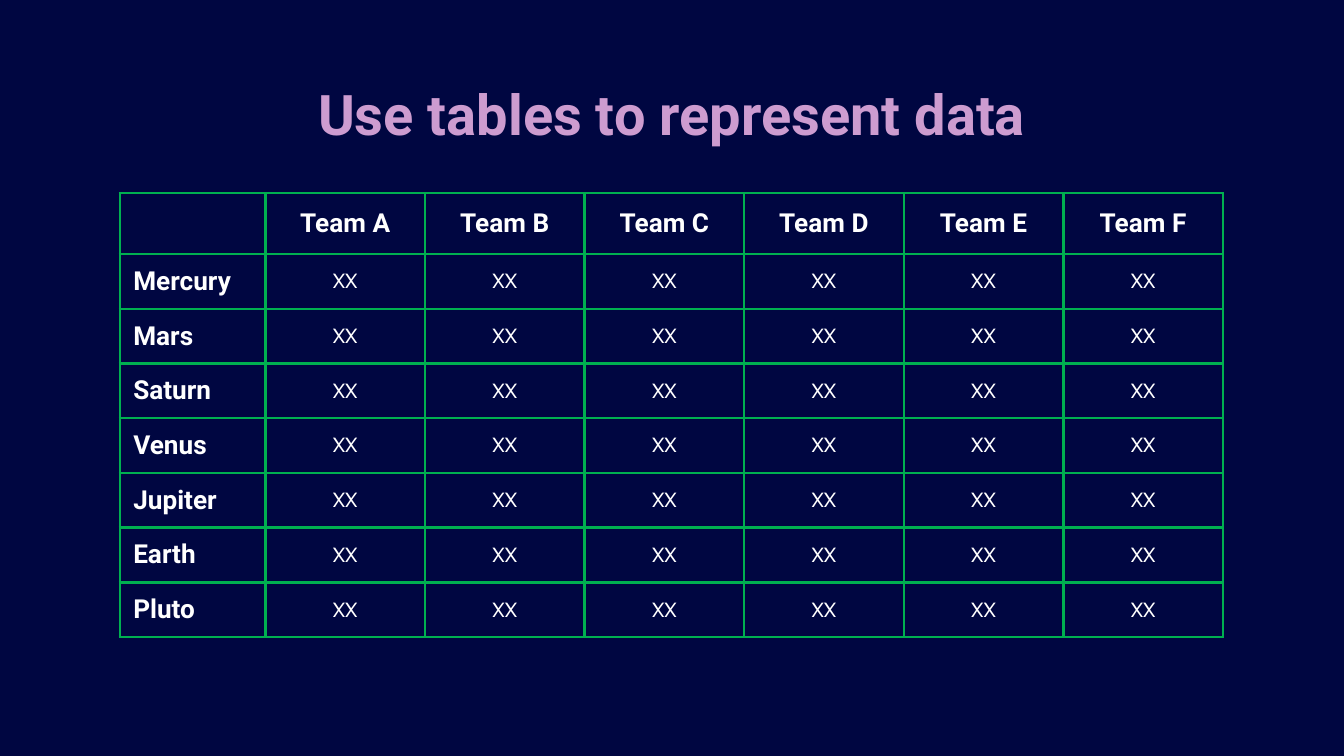
import pptx
import pptx.util
import pptx.dml.color
import pptx.enum.text
import pptx.oxml
import pptx.oxml.ns

Pt = pptx.util.Pt
ALIGN = pptx.enum.text.PP_ALIGN
ANCHOR = pptx.enum.text.MSO_ANCHOR

NAVY, GREEN, WHITE = "000641", "00B050", "FFFFFF"
PINK, SKY = "CD9CD0", "9CCAED"
TEAMS = [f"Team {mark}" for mark in "ABCDEF"]
PLANETS = ["Mercury", "Mars", "Saturn", "Venus", "Jupiter", "Earth", "Pluto"]


def color(code):
    return pptx.dml.color.RGBColor.from_string(code)


def write(frame, text, size=14, font="Roboto", bold=True, fill=WHITE,
          align=ALIGN.CENTER):
    """Fill a frame with one line; a pair of colours as fill is a gradient."""
    para = frame.paragraphs[0]
    para.alignment = align
    run = para.add_run()
    run.text = text
    run.font.size, run.font.name, run.font.bold = Pt(size), font, bold
    if isinstance(fill, str):
        run.font.color.rgb = color(fill)
        return
    run.font.fill.gradient()
    run.font.fill.gradient_angle = 0
    for stop, code in zip(run.font.fill.gradient_stops, fill):
        stop.color.rgb = color(code)


def inset(box, side, top):
    box.margin_left = box.margin_right = Pt(side)
    box.margin_top = box.margin_bottom = Pt(top)


def border(cell, code, width):
    props = cell._tc.get_or_add_tcPr()
    space = pptx.oxml.ns.nsdecls("a")
    for spot, side in enumerate(("lnL", "lnR", "lnT", "lnB")):
        props.insert(spot, pptx.oxml.parse_xml(
            f'<a:{side} {space} w="{Pt(width)}"><a:solidFill>'
            f'<a:srgbClr val="{code}"/></a:solidFill></a:{side}>'))


class Deck:
    def __init__(self, width, height):
        self.show = pptx.Presentation()
        self.show.slide_width, self.show.slide_height = Pt(width), Pt(height)
        self.slide = self.show.slides.add_slide(self.show.slide_layouts[6])
        back = self.slide.background.fill
        back.solid()
        back.fore_color.rgb = color(NAVY)

    def title(self, text, left, top, width, height):
        box = self.slide.shapes.add_textbox(
            Pt(left), Pt(top), Pt(width), Pt(height))
        frame = box.text_frame
        frame.word_wrap = True
        inset(frame, 7.2, 7.2)
        write(frame, text, size=30, fill=(PINK, SKY))

    def table(self, left, top, widths, heights):
        """Add an outlined table without fills and return it."""
        table = self.slide.shapes.add_table(
            len(heights), len(widths), Pt(left), Pt(top),
            Pt(sum(widths)), Pt(sum(heights))).table
        table.first_row = table.horz_banding = False
        for col, width in zip(table.columns, widths):
            col.width = Pt(width)
        for row, height in zip(table.rows, heights):
            row.height = Pt(height)
        for cell in table.iter_cells():
            cell.fill.background()
            cell.vertical_anchor = ANCHOR.MIDDLE
            inset(cell, 0, 0)
            border(cell, GREEN, 1.5)
        return table


def main():
    deck = Deck(720, 405)
    deck.title("Use tables to represent data", 56.7, 35.3, 606.6, 45.4)
    grid = deck.table(64.2, 103.4, [78] + [85.5] * len(TEAMS),
                      [32.7] + [29.33] * len(PLANETS))
    for col, team in enumerate(TEAMS, 1):
        head = grid.cell(0, col)
        inset(head, 7.2, 5)
        write(head.text_frame, team)
    for row, planet in enumerate(PLANETS, 1):
        name = grid.cell(row, 0)
        inset(name, 7.2, 0)
        write(name.text_frame, planet, align=ALIGN.LEFT)
        for col in range(1, len(TEAMS) + 1):
            write(grid.cell(row, col).text_frame, "XX", size=11,
                  font="Cabin", bold=False)
    deck.show.save("out.pptx")


if __name__ == "__main__":
    main()
